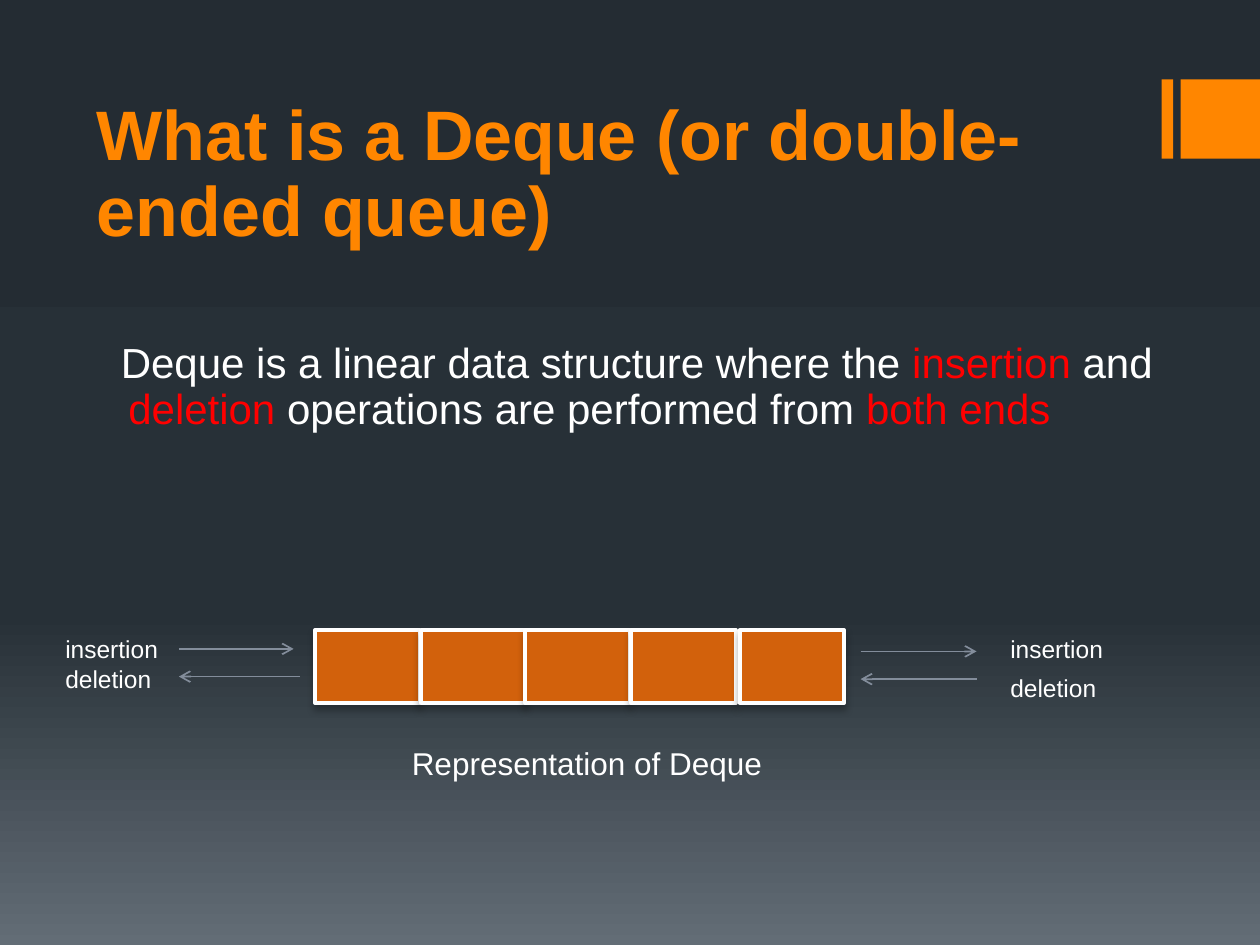
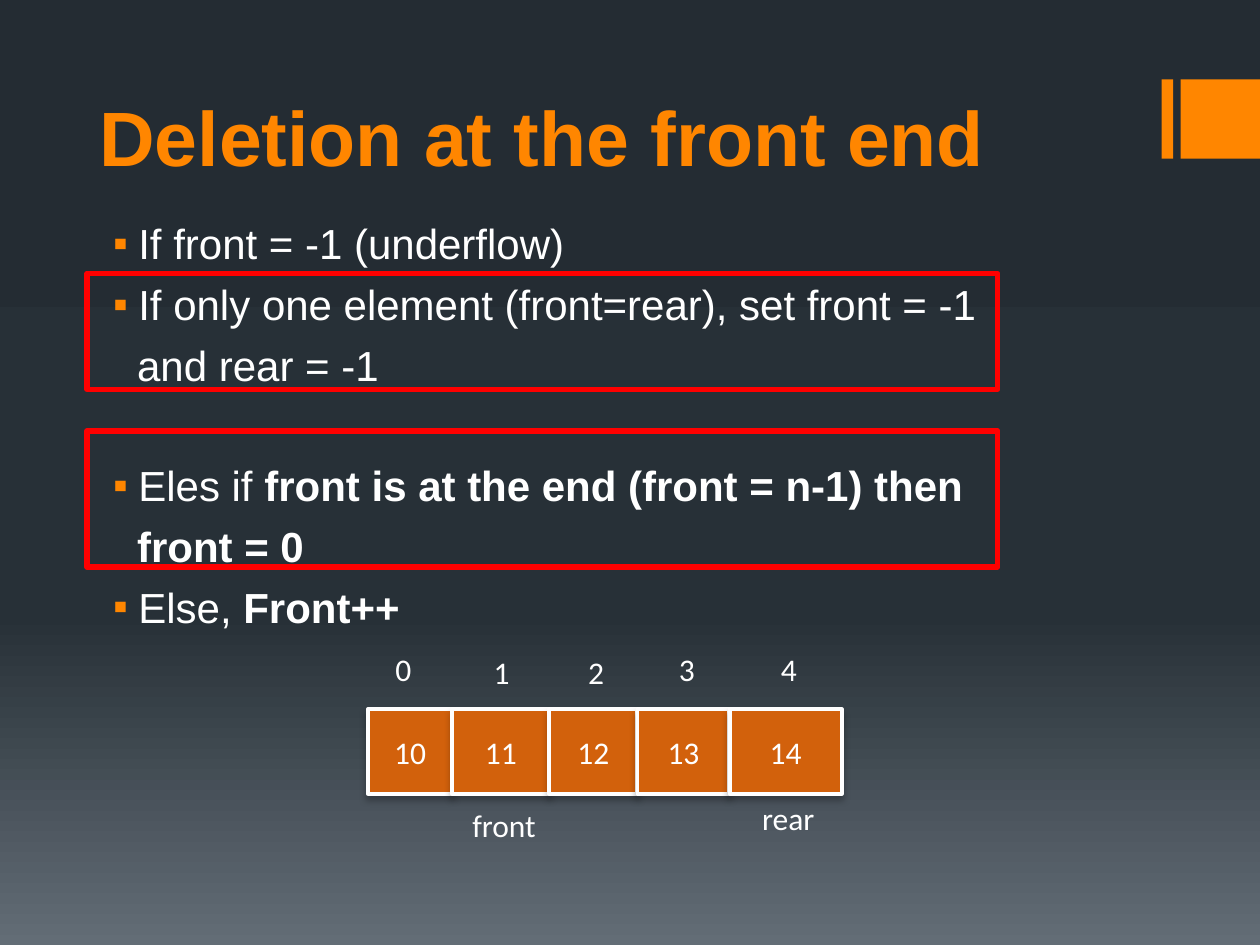
from lxml import etree
from pptx import Presentation
from pptx.dml.color import RGBColor
from pptx.enum.shapes import MSO_CONNECTOR, MSO_SHAPE
from pptx.enum.text import MSO_ANCHOR, PP_ALIGN
from pptx.oxml.ns import qn
from pptx.util import Inches, Pt

RECTANGLE = MSO_SHAPE.RECTANGLE
STRAIGHT = MSO_CONNECTOR.STRAIGHT
MIDDLE, TOP = MSO_ANCHOR.MIDDLE, MSO_ANCHOR.TOP
CENTER = PP_ALIGN.CENTER

ORANGE = RGBColor(0xFF, 0x86, 0x00)
CELL_ORANGE = RGBColor(0xD2, 0x61, 0x0C)
WHITE = RGBColor(0xFF, 0xFF, 0xFF)
RED = RGBColor(0xFF, 0x00, 0x00)
ARROW_GRAY = RGBColor(0x83, 0x8D, 0x9B)
BACKGROUND_STOPS = [(0, "242C33"), (65, "273037"), (100, "636D76")]
BANDS = [(9.22, 0.09), (9.37, 0.63)]  # left, width

# Content: what a deque is
DEFINITION = [
    ("Deque is a linear data structure where the ", WHITE),
    ("insertion", RED),
    (" and ", WHITE),
    ("deletion", RED),
    (" operations are performed from ", WHITE),
    ("both ends", RED),
]
EMPTY_CELLS = [(left, 0.83, "") for left in (2.5, 3.34, 4.17, 5.01, 5.87)]
OPERATION_LABELS = [  # text, left, top
    ("insertion", 7.92, 4.98),
    ("deletion", 7.92, 5.29),
    ("insertion", 0.42, 4.98),
    ("deletion", 0.42, 5.22),
]
OPERATION_ARROWS = [  # from x, to x, y
    (6.83, 7.75, 5.17),
    (7.75, 6.83, 5.39),
    (2.38, 1.42, 5.37),
    (1.42, 2.33, 5.15),
]

# Content: deletion at the front
STEPS = [  # has bullet, space before, (text, bold) runs
    (True, 0, [("If front = -1 (underflow)", False)]),
    (True, 6, [("If only one element (front=rear), set front = -1", False)]),
    (False, 6, [("and rear = -1", False)]),
    (True, 39.6, [("Eles if ", False),
                  ("front is at the end (front = n-1) then", True)]),
    (False, 6, [("front = 0", True)]),
    (True, 6, [("Else, ", False), ("Front++", True)]),
]
STEP_FRAMES = [(2.17, 0.92), (3.42, 1.08)]  # top, height
CELL_VALUES = [("10", 0.67), ("11", 0.77), ("12", 0.7), ("13", 0.73), ("14", 0.89)]
CELLS_LEFT = 2.92
QUEUE_LABELS = [  # text, left, top, width
    ("0", 3.04, 5.11, 0.26),
    ("1", 3.82, 5.13, 0.26),
    ("2", 4.57, 5.13, 0.26),
    ("3", 5.29, 5.11, 0.26),
    ("4", 6.1, 5.11, 0.26),
    ("front", 3.65, 6.35, 0.8),
    ("rear", 5.95, 6.29, 0.81),
]


def add_xml(parent, tag, **attributes):
    return etree.SubElement(parent, qn(tag), attributes)


def set_font(paragraph, size, name="Arial", color=WHITE, bold=False):
    font = paragraph.font
    font.size, font.name, font.bold = Pt(size), name, bold
    font.color.rgb = color


def set_background(master):
    fill = master.background.fill
    fill.gradient()
    fill.gradient_angle = 270
    stops = next(master.element.iter(qn("a:gsLst")))
    for stop in list(stops):
        stops.remove(stop)
    for percent, color in BACKGROUND_STOPS:
        stop = add_xml(stops, "a:gs", pos=str(percent * 1000))
        add_xml(stop, "a:srgbClr", val=color)


def add_rectangle(slide, left, top, width, height, fill=None, line=None, weight=0):
    box = slide.shapes.add_shape(
        RECTANGLE, Inches(left), Inches(top), Inches(width), Inches(height))
    box.shadow.inherit = False
    if fill is None:
        box.fill.background()
    else:
        box.fill.solid()
        box.fill.fore_color.rgb = fill
    if line is None:
        box.line.fill.background()
    else:
        box.line.color.rgb = line
        box.line.width = Pt(weight)
    return box


def add_text_frame(slide, left, top, width, height, anchor=TOP):
    frame = slide.shapes.add_textbox(
        Inches(left), Inches(top), Inches(width), Inches(height)).text_frame
    frame.word_wrap = True
    frame.vertical_anchor = anchor
    return frame


def add_label(slide, text, left, top, width, height, size, font="Arial"):
    paragraph = add_text_frame(slide, left, top, width, height).paragraphs[0]
    paragraph.text = text
    set_font(paragraph, size, font)


def add_titled_slide(prs, title, left, top, size):
    slide = prs.slides.add_slide(prs.slide_layouts[6])
    for band_left, band_width in BANDS:
        add_rectangle(slide, band_left, 0.63, band_width, 0.63, ORANGE)
    heading = add_text_frame(slide, left, top, 8.62, 1.45, MIDDLE).paragraphs[0]
    heading.text = title
    heading.line_spacing = 0.9
    set_font(heading, size, color=ORANGE, bold=True)
    return slide


def add_cells(slide, cells, top, height):
    for left, width, value in cells:
        cell = add_rectangle(slide, left, top, width, height, CELL_ORANGE, WHITE, 2.25)
        # Soft shadow straight below the cell
        effects = cell.element.spPr.find(qn("a:effectLst"))
        shadow = add_xml(effects, "a:outerShdw", blurRad=str(Pt(4)), dist=str(Pt(3)),
                         dir="5400000", rotWithShape="0")
        add_xml(add_xml(shadow, "a:srgbClr", val="000000"), "a:alpha", val="28000")
        if value:
            cell.text_frame.vertical_anchor = MIDDLE
            paragraph = cell.text_frame.paragraphs[0]
            paragraph.text = value
            paragraph.alignment = CENTER
            set_font(paragraph, 18, "Calibri")


def add_arrow(slide, start, end, y):
    arrow = slide.shapes.add_connector(
        STRAIGHT, Inches(start), Inches(y), Inches(end), Inches(y))
    arrow.line.color.rgb = ARROW_GRAY
    arrow.line.width = Pt(1)
    properties = arrow.element.spPr
    add_xml(properties.find(qn("a:ln")), "a:tailEnd", type="arrow")
    add_xml(properties, "a:effectLst")


def set_indent(paragraph, left, first_line):
    properties = paragraph._p.get_or_add_pPr()
    properties.set("marL", str(Inches(left)))
    properties.set("indent", str(Inches(first_line)))
    return properties


def build_definition(prs):
    slide = add_titled_slide(
        prs, "What is a Deque (or double-ended queue)", 0.67, 0.67, 40)
    definition = add_text_frame(slide, 0.67, 2.67, 8.62, 4.44).paragraphs[0]
    set_indent(definition, 0.25, -0.06)
    definition.line_spacing = 0.9
    set_font(definition, 24)
    for text, color in DEFINITION:
        run = definition.add_run()
        run.text = text
        run.font.color.rgb = color

    # Deque with both open ends
    add_cells(slide, EMPTY_CELLS, 5, 0.58)
    for start, end, y in OPERATION_ARROWS:
        add_arrow(slide, start, end, y)
    for text, left, top in OPERATION_LABELS:
        add_label(slide, text, left, top, 1.17, 0.34, 14)
    add_label(slide, "Representation of Deque", 3.17, 5.86, 3.37, 0.4, 18)


def build_deletion(prs):
    slide = add_titled_slide(prs, "Deletion at the front end", 0.69, 0.4, 44)

    # Queue with indexes and end markers
    cells, left = [], CELLS_LEFT
    for value, width in CELL_VALUES:
        cells.append((left, width, value))
        left += width
    add_cells(slide, cells, 5.63, 0.67)
    for text, label_left, top, width in QUEUE_LABELS:
        add_label(slide, text, label_left, top, width, 0.4, 18, "Calibri")

    # Steps, two of them framed
    for top, height in STEP_FRAMES:
        add_rectangle(slide, 0.69, top, 7.23, height, line=RED, weight=3)
    frame = add_text_frame(slide, 0.75, 1.68, 8, 3.87)
    for index, (has_bullet, space_before, runs) in enumerate(STEPS):
        step = frame.add_paragraph() if index else frame.paragraphs[0]
        if has_bullet:
            properties = set_indent(step, 0.25, -0.2)
            add_xml(add_xml(properties, "a:buClr"), "a:srgbClr", val=str(ORANGE))
            add_xml(properties, "a:buFont", typeface="Arial")
            add_xml(properties, "a:buChar", char="▪")
        else:
            set_indent(step, 0.24, 0)
        step.space_before = Pt(space_before)
        set_font(step, 24)
        for text, bold in runs:
            run = step.add_run()
            run.text = text
            run.font.bold = bold


def main():
    prs = Presentation()
    prs.slide_width, prs.slide_height = Inches(10), Inches(7.5)
    set_background(prs.slide_master)
    build_definition(prs)
    build_deletion(prs)
    prs.save("out.pptx")


if __name__ == "__main__":
    main()
